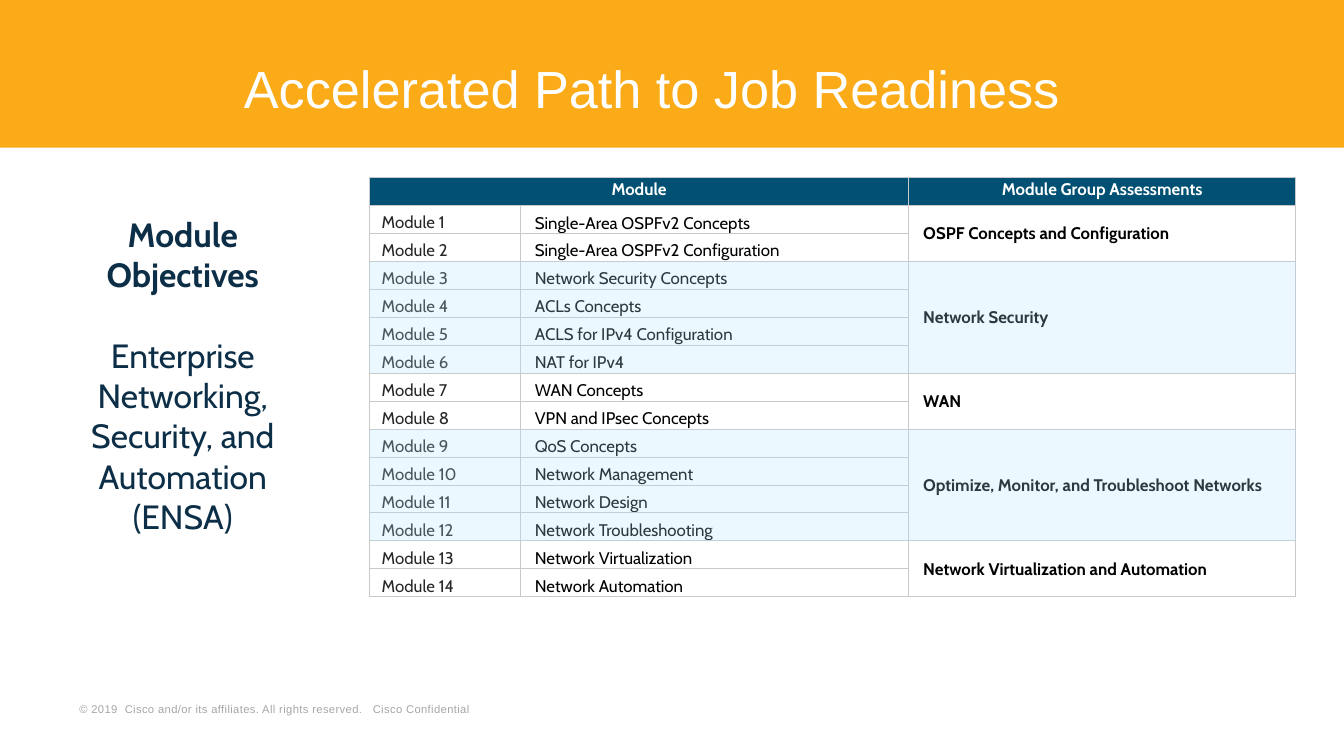
from dataclasses import dataclass

from lxml import etree
from pptx import Presentation
from pptx.dml.color import RGBColor
from pptx.enum.shapes import MSO_SHAPE
from pptx.enum.text import MSO_ANCHOR, MSO_AUTO_SIZE, PP_ALIGN
from pptx.oxml.ns import qn
from pptx.util import Inches, Pt

RECTANGLE = MSO_SHAPE.RECTANGLE
TOP, MIDDLE, BOTTOM = MSO_ANCHOR.TOP, MSO_ANCHOR.MIDDLE, MSO_ANCHOR.BOTTOM
LEFT, CENTER = PP_ALIGN.LEFT, PP_ALIGN.CENTER
NO_FIT = MSO_AUTO_SIZE.NONE
GRID_COLUMNS = 100


@dataclass(frozen=True)
class Theme:
    heading_font: str = "Arial"
    body_font: str = "Cabin"
    banner: str = "FBAB18"
    header: str = "005073"
    highlight: str = "B0E7FF"
    highlight_alpha: int = 25
    border: str = "C9C9C9"
    white: str = "FFFFFF"
    black: str = "000000"
    module: str = "282828"
    navy: str = "0C2F47"
    muted: str = "A6A6A6"
    title_size: float = 28
    objective_size: float = 18
    table_size: float = 9
    footer_size: float = 6
    footer_tracking: float = 0.2
    border_width: float = 0.25


class SlideBuilder:
    def __init__(self, deck, theme):
        self.theme = theme
        self.slide = deck.slides.add_slide(deck.slide_layouts[5])
        self.unit = deck.slide_width / GRID_COLUMNS

    def place(self, *grid):
        return [round(value * self.unit) for value in grid]

    def run(self, paragraph, text, size, color, font=None, bold=False):
        run = paragraph.add_run()
        run.text = text
        run.font.name = font or self.theme.body_font
        run.font.size = Pt(size)
        run.font.bold = bold
        run.font.color.rgb = RGBColor.from_string(color)
        return run

    def title(self, text, grid):
        title = self.slide.shapes.title
        title.left, title.top, title.width, title.height = self.place(*grid)
        frame = title.text_frame
        frame.auto_size = NO_FIT
        frame.word_wrap = True
        frame.vertical_anchor = MIDDLE
        paragraph = frame.paragraphs[0]
        paragraph.alignment = LEFT
        paragraph.line_spacing = 0.8
        self.run(paragraph, text, self.theme.title_size, self.theme.white, self.theme.heading_font)

    def block(self, color, grid, alpha=None):
        block = self.slide.shapes.add_shape(RECTANGLE, *self.place(*grid))
        block.shadow.inherit = False
        block.fill.solid()
        block.fill.fore_color.rgb = RGBColor.from_string(color)
        block.line.fill.background()
        if alpha is not None:
            tint = block.element.spPr.find(qn("a:solidFill"))[0]
            etree.SubElement(tint, qn("a:alpha"), val=str(alpha * 1000))
        return block

    def banner(self, grid):
        banner = self.block(self.theme.banner, grid)
        self.slide.shapes.title.element.addprevious(banner.element)

    def text_frame(self, grid, anchor=TOP):
        frame = self.slide.shapes.add_textbox(*self.place(*grid)).text_frame
        frame.word_wrap = True
        frame.vertical_anchor = anchor
        return frame

    def objectives(self, heading_lines, course, grid):
        frame = self.text_frame(grid)
        lines = [(line, True) for line in heading_lines] + [(course, False)]
        for index, (text, bold) in enumerate(lines):
            paragraph = frame.add_paragraph() if index else frame.paragraphs[0]
            paragraph.alignment = CENTER
            if not bold:
                paragraph.space_before = Pt(1.2 * self.theme.objective_size)
            self.run(paragraph, text, self.theme.objective_size, self.theme.navy, bold=bold)

    def footer(self, text, grid):
        frame = self.text_frame(grid, BOTTOM)
        frame.margin_left = frame.margin_right = Inches(0.07)
        frame.margin_top = frame.margin_bottom = Inches(0.03)
        notice = self.run(frame.paragraphs[0], text, self.theme.footer_size,
                          self.theme.muted, self.theme.heading_font)
        notice._r.get_or_add_rPr().set("spc", str(round(self.theme.footer_tracking * 100)))

    def borders(self, cell):
        properties = cell._tc.get_or_add_tcPr()
        for index, side in enumerate(("lnL", "lnR", "lnT", "lnB")):
            line = etree.Element(qn(f"a:{side}"), w=str(Pt(self.theme.border_width)))
            fill = etree.SubElement(line, qn("a:solidFill"))
            etree.SubElement(fill, qn("a:srgbClr"), val=self.theme.border)
            properties.insert(index, line)

    def cell(self, cell, text, color, anchor=MIDDLE, align=LEFT, bold=False, inset=0.11, spacing=None):
        cell.vertical_anchor = anchor
        cell.margin_left = Inches(inset)
        cell.margin_right = cell.margin_top = Inches(0.01)
        cell.margin_bottom = 0
        paragraph = cell.text_frame.paragraphs[0]
        paragraph.alignment = align
        if spacing:
            paragraph.line_spacing = Pt(spacing)
        self.run(paragraph, text, self.theme.table_size, color, bold=bold)

    def module_table(self, headers, groups, grid, column_widths):
        theme = self.theme
        left, top, width, height = grid
        row_count = 1 + sum(len(modules) for _, modules in groups)
        row_height = height / row_count
        table = self.slide.shapes.add_table(
            row_count, len(column_widths), *self.place(*grid)).table
        table.first_row = table.horz_banding = False
        for column, share in zip(table.columns, column_widths):
            column.width = self.place(share)[0]
        for index, row in enumerate(table.rows):
            row.height = self.place(row_height)[0]
            for cell in row.cells:
                if index:
                    cell.fill.background()
                else:
                    cell.fill.solid()
                    cell.fill.fore_color.rgb = RGBColor.from_string(theme.header)
                self.borders(cell)

        table.cell(0, 0).merge(table.cell(0, 1))
        for column, header in zip((0, 2), headers):
            self.cell(table.cell(0, column), header, theme.white,
                      align=CENTER, bold=True, inset=0.01, spacing=8)

        first = 1
        for number, (assessment, modules) in enumerate(groups):
            for row, module in enumerate(modules, first):
                self.cell(table.cell(row, 0), f"Module {row}", theme.module, inset=0.09, spacing=14)
                self.cell(table.cell(row, 1), module, theme.black, BOTTOM)
            table.cell(first, 2).merge(table.cell(first + len(modules) - 1, 2))
            self.cell(table.cell(first, 2), assessment, theme.black, bold=True)
            if number % 2:
                self.block(theme.highlight,
                           (left, top + first * row_height, width, len(modules) * row_height),
                           theme.highlight_alpha)
            first += len(modules)


GROUPS = [
    ("OSPF Concepts and Configuration",
     ["Single-Area OSPFv2 Concepts", "Single-Area OSPFv2 Configuration"]),
    ("Network Security",
     ["Network Security Concepts", "ACLs Concepts", "ACLS for IPv4 Configuration", "NAT for IPv4"]),
    ("WAN", ["WAN Concepts", "VPN and IPsec Concepts"]),
    ("Optimize, Monitor, and Troubleshoot Networks",
     ["QoS Concepts", "Network Management", "Network Design", "Network Troubleshooting"]),
    ("Network Virtualization and Automation",
     ["Network Virtualization", "Network Automation"]),
]


def main():
    deck = Presentation()
    deck.slide_width = Inches(10)
    deck.slide_height = deck.slide_width * 9 // 16
    builder = SlideBuilder(deck, Theme())
    builder.banner((0, 0, GRID_COLUMNS, 11))
    builder.title("Accelerated Path to Job Readiness", (17.15, 3.5, 79.3, 6.9))
    builder.footer("© 2019  Cisco and/or its affiliates. All rights reserved.   Cisco Confidential",
                   (5.2, 51.85, 37.2, 1.7))
    builder.objectives(["Module", "Objectives"],
                       "Enterprise Networking, Security, and Automation (ENSA)",
                       (5.15, 15.4, 16.9, 25.2))
    builder.module_table(["Module", "Module Group Assessments"], GROUPS,
                         (27.5, 13.2, 68.9, 31.2), (11.2, 28.9, 28.8))
    deck.save("out.pptx")


if __name__ == "__main__":
    main()
